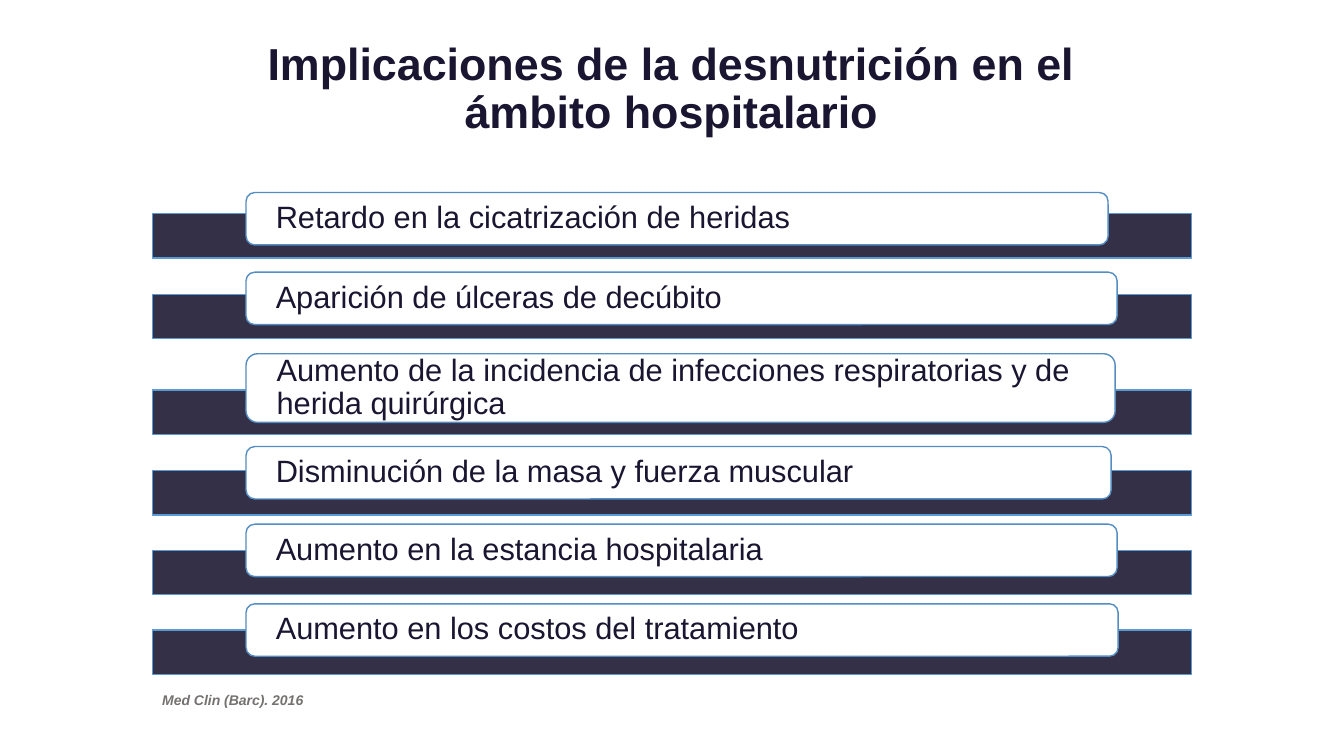
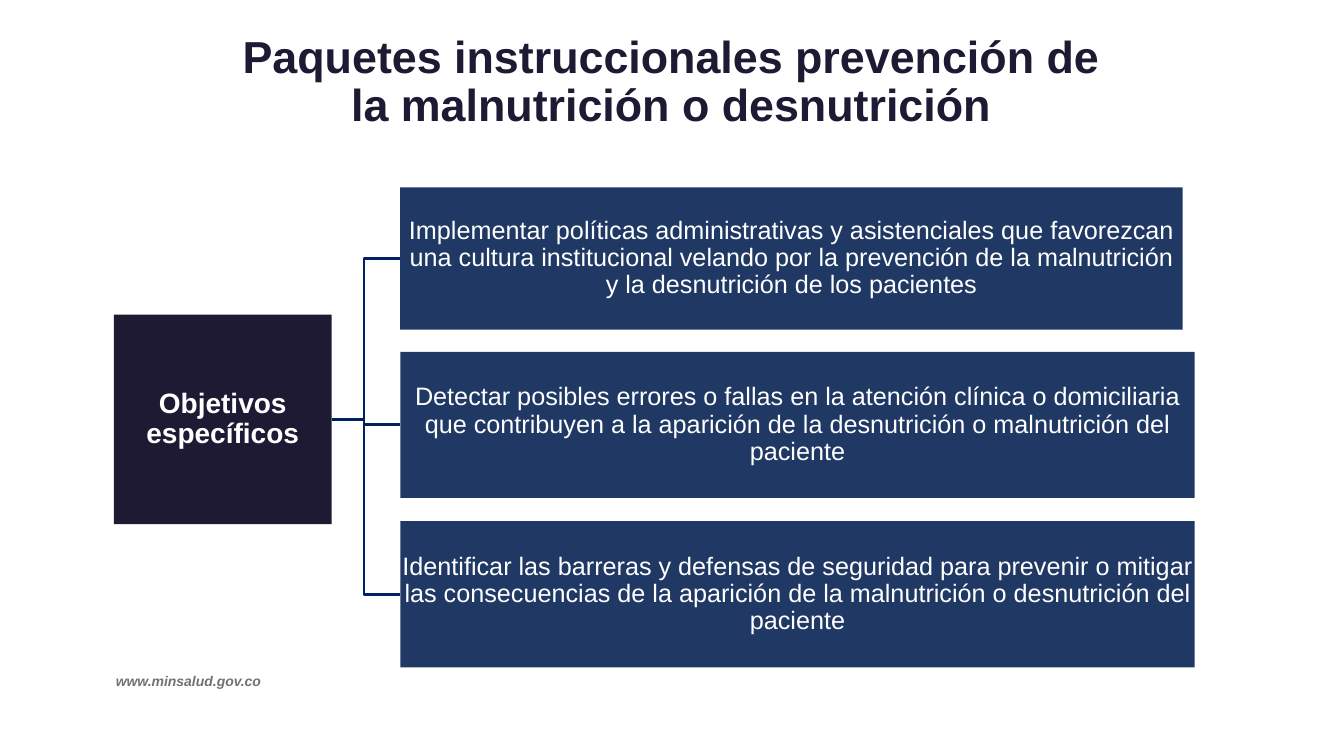
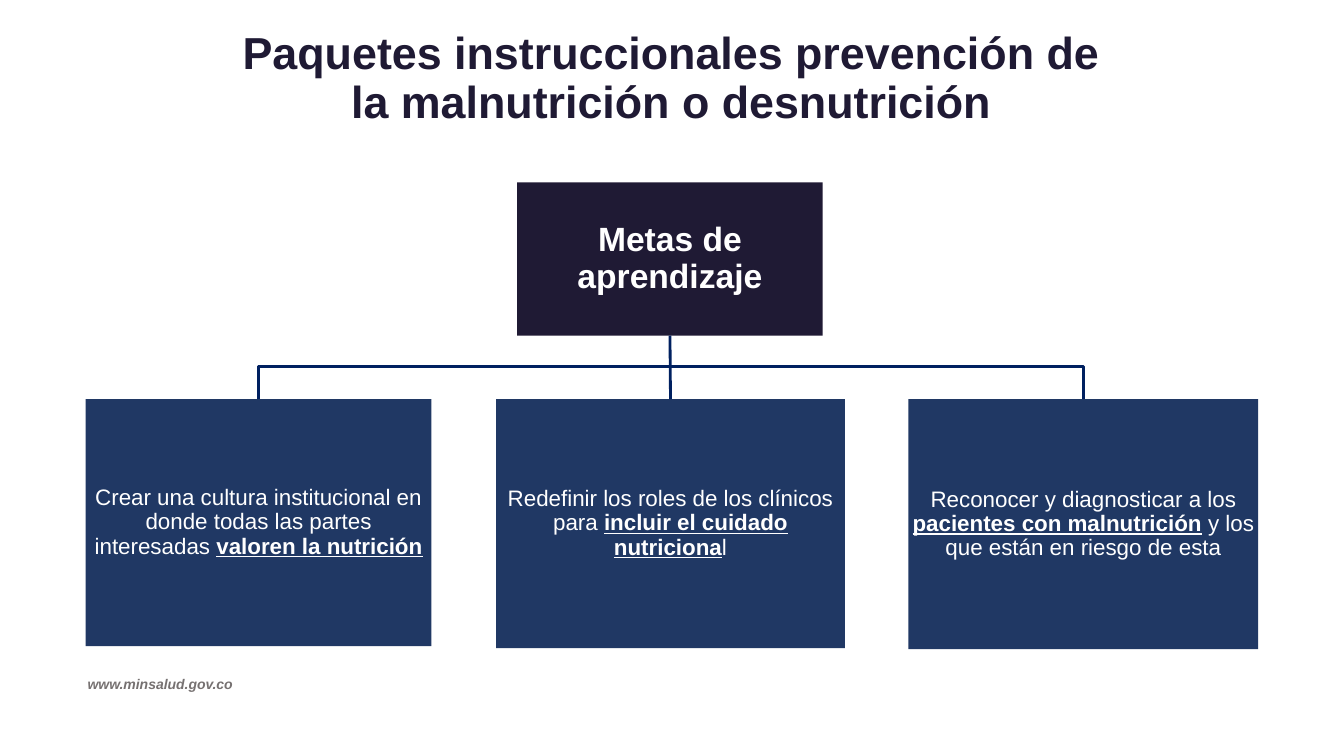
from lxml import etree
from pptx import Presentation
from pptx.dml.color import RGBColor
from pptx.enum.shapes import MSO_CONNECTOR, MSO_SHAPE
from pptx.enum.text import MSO_ANCHOR, MSO_AUTO_SIZE, PP_ALIGN
from pptx.oxml.ns import qn
from pptx.util import Inches, Pt

RECTANGLE = MSO_SHAPE.RECTANGLE
ROUNDED = MSO_SHAPE.ROUNDED_RECTANGLE
STRAIGHT = MSO_CONNECTOR.STRAIGHT
LEFT, CENTER = PP_ALIGN.LEFT, PP_ALIGN.CENTER
TOP, MIDDLE = MSO_ANCHOR.TOP, MSO_ANCHOR.MIDDLE
FIXED_SIZE = MSO_AUTO_SIZE.NONE

FONT = "Arial"
INK = RGBColor(0x1A, 0x15, 0x30)
NIGHT = RGBColor(0x1F, 0x1A, 0x34)
NAVY = RGBColor(0x20, 0x38, 0x64)
BRANCH = RGBColor(0x00, 0x20, 0x60)
BAR_EDGE = RGBColor(0x5B, 0x9B, 0xD5)
LABEL_EDGE = RGBColor(0x53, 0x8D, 0xC1)
GRAY = RGBColor(0x76, 0x71, 0x71)
WHITE = RGBColor(0xFF, 0xFF, 0xFF)

PACKAGES_TITLE = "Paquetes instruccionales prevención de la malnutrición o desnutrición"
WEBSITE = "www.minsalud.gov.co"

IMPLICATIONS = [
    ("Retardo en la cicatrización de heridas", 2.12, 1.91, 8.55, 0.52),
    ("Aparición de úlceras de decúbito", 2.92, 2.7, 8.64, 0.52),
    ("Aumento de la incidencia de infecciones respiratorias y de herida quirúrgica",
     3.87, 3.51, 8.62, 0.68),
    ("Disminución de la masa y fuerza muscular", 4.67, 4.43, 8.58, 0.52),
    ("Aumento en la estancia hospitalaria", 5.46, 5.2, 8.64, 0.52),
    ("Aumento en los costos del tratamiento", 6.25, 5.99, 8.65, 0.52),
]

OBJECTIVES = [
    ("Implementar políticas administrativas y asistenciales que favorezcan una cultura "
     "institucional velando por la prevención de la malnutrición y la desnutrición de los "
     "pacientes", 1.86, 7.76, 1.41),
    ("Detectar posibles errores o fallas en la atención clínica o domiciliaria que "
     "contribuyen a la aparición de la desnutrición o malnutrición del paciente",
     3.49, 7.88, 1.45),
    ("Identificar las barreras y defensas de seguridad para prevenir o mitigar las "
     "consecuencias de la aparición de la malnutrición o desnutrición del paciente",
     5.17, 7.88, 1.45),
]

GOALS = [
    ([("Crear una cultura institucional en donde todas las partes interesadas ", False),
      ("valoren la nutrición", True)], 0.85, 3.43, 2.45),
    ([("Redefinir los roles de los clínicos para ", False),
      ("incluir el cuidado nutriciona", True), ("l", False)], 4.92, 3.46, 2.47),
    ([("Reconocer y diagnosticar a los ", False), ("pacientes con malnutrición", True),
      (" y los que están en riesgo de esta", False)], 9.01, 3.47, 2.48),
]


def add_span(para, text, size, color, bold=False, italic=False, underline=False):
    """Append one formatted run to a paragraph."""
    span = para.add_run()
    span.text = text
    font = span.font
    font.name, font.size, font.bold = FONT, Pt(size), bold
    font.italic, font.underline = italic, underline
    font.color.rgb = color


def add_page(deck, title, top, height, color, anchor=MIDDLE):
    """Add a slide with its centred title."""
    page = deck.slides.add_slide(deck.slide_layouts.get_by_name("Title Only"))
    box = page.shapes.title
    box.left, box.top = Inches(2.21), Inches(top)
    box.width, box.height = Inches(8.9), Inches(height)
    frame = box.text_frame
    frame.auto_size, frame.vertical_anchor = FIXED_SIZE, anchor
    para = frame.paragraphs[0]
    para.alignment, para.line_spacing = CENTER, 0.9
    add_span(para, title, 32, color, bold=True)
    return page


def add_source(page, text, left, top, width):
    """Add the small source note below the content."""
    box = page.shapes.add_textbox(Inches(left), Inches(top), Inches(width), Inches(0.27))
    box.text_frame.word_wrap = True
    add_span(box.text_frame.paragraphs[0], text, 10, GRAY, bold=True, italic=True)


def add_block(page, kind, left, top, width, height, fill, edge=None):
    """Add a flat filled shape, outlined when an edge colour is given."""
    block = page.shapes.add_shape(
        kind, Inches(left), Inches(top), Inches(width), Inches(height))
    block.shadow.inherit = False
    block.fill.solid()
    block.fill.fore_color.rgb = fill
    if edge is None:
        block.line.fill.background()
    else:
        block.line.color.rgb = edge
        block.line.width = Pt(1)
    return block


def start_text(block, align, side_inset, edge_inset):
    """Prepare a block for text and return its first paragraph."""
    frame = block.text_frame
    frame.word_wrap, frame.vertical_anchor = True, MIDDLE
    frame.margin_left = frame.margin_right = Inches(side_inset)
    frame.margin_top = frame.margin_bottom = Inches(edge_inset)
    para = frame.paragraphs[0]
    para.alignment, para.line_spacing = align, 0.9
    return para


def add_card(page, spans, left, top, width, height, fill, size, bold=False):
    """Add a tree card whose marked spans are bold and underlined."""
    card = add_block(page, RECTANGLE, left, top, width, height, fill)
    para = start_text(card, CENTER, 0.01, 0.01)
    for text, marked in spans:
        add_span(para, text, size, WHITE, bold=bold or marked, underline=marked)
    return card


def style_branch(line):
    """Apply the tree line colour and width."""
    line.color.rgb = BRANCH
    line.width = Pt(2)


def add_elbow(page, points):
    """Draw an open angular branch through the points."""
    builder = page.shapes.build_freeform(*points[0])
    builder.add_line_segments(points[1:], close=False)
    elbow = builder.convert_to_shape()
    elbow.shadow.inherit = False
    elbow.fill.background()
    style_branch(elbow.line)


def add_straight_branch(page, root, card):
    """Join the root's bottom to the card's top."""
    branch = page.shapes.add_connector(STRAIGHT, 0, 0, 0, 0)
    branch.begin_connect(root, 2)
    branch.end_connect(card, 0)
    etree.SubElement(branch._element.spPr, qn("a:effectLst"))
    style_branch(branch.line)


def middle_of(block):
    """Return the centre of a block."""
    return block.left + block.width // 2, block.top + block.height // 2


def add_implication(page, text, bar_top, top, width, height):
    """Add a translucent bar with its rounded label."""
    bar = add_block(page, RECTANGLE, 1.51, bar_top, 10.31, 0.44, NIGHT, BAR_EDGE)
    color = bar._element.spPr.find(qn("a:solidFill"))[0]
    etree.SubElement(color, qn("a:alpha"), val="90000")
    label = add_block(page, ROUNDED, 2.44, top, width, height, WHITE, LABEL_EDGE)
    add_span(start_text(label, LEFT, 0.27, 0), text, 22, INK)


def build_implications(deck):
    """Build the slide on the effects of malnutrition."""
    page = add_page(deck, "Implicaciones de la desnutrición en el ámbito hospitalario",
                    0.36, 1.06, INK)
    for implication in IMPLICATIONS:
        add_implication(page, *implication)
    add_source(page, "Med Clin (Barc). 2016", 1.51, 6.81, 3.29)


def build_objectives(deck):
    """Build the horizontal tree of objectives."""
    page = add_page(deck, PACKAGES_TITLE, 0.29, 0.9, NIGHT, TOP)
    root = add_card(page, [("Objetivos específicos", False)],
                    1.13, 3.12, 2.16, 2.08, NIGHT, 20, bold=True)
    start_x, start_y = root.left + root.width, middle_of(root)[1]
    trunk = Inches(3.61)
    for text, top, width, height in OBJECTIVES:
        card = add_card(page, [(text, False)], 3.97, top, width, height, NAVY, 18)
        end_y = middle_of(card)[1]
        add_elbow(page, [(start_x, start_y), (trunk, start_y),
                         (trunk, end_y), (card.left, end_y)])
    add_source(page, WEBSITE, 1.05, 6.62, 1.75)


def build_goals(deck):
    """Build the vertical tree of learning goals."""
    page = add_page(deck, PACKAGES_TITLE, 0.34, 0.9, NIGHT)
    root = add_card(page, [("Metas de aprendizaje", False)],
                    5.13, 1.81, 3.03, 1.52, NIGHT, 24, bold=True)
    first, center, last = [
        add_card(page, spans, left, 3.96, width, height, NAVY, 16)
        for spans, left, width, height in GOALS]
    start_x, start_y = middle_of(root)[0], root.top + root.height
    trunk = Inches(3.64)
    for card in (first, last):
        end_x = middle_of(card)[0]
        add_elbow(page, [(start_x, start_y), (start_x, trunk),
                         (end_x, trunk), (end_x, card.top)])
    add_straight_branch(page, root, center)
    add_source(page, WEBSITE, 0.77, 6.65, 1.75)


def main():
    """Build and save the deck."""
    deck = Presentation()
    deck.slide_width, deck.slide_height = Inches(13.33), Inches(7.5)
    build_implications(deck)
    build_objectives(deck)
    build_goals(deck)
    deck.save("out.pptx")


if __name__ == "__main__":
    main()
